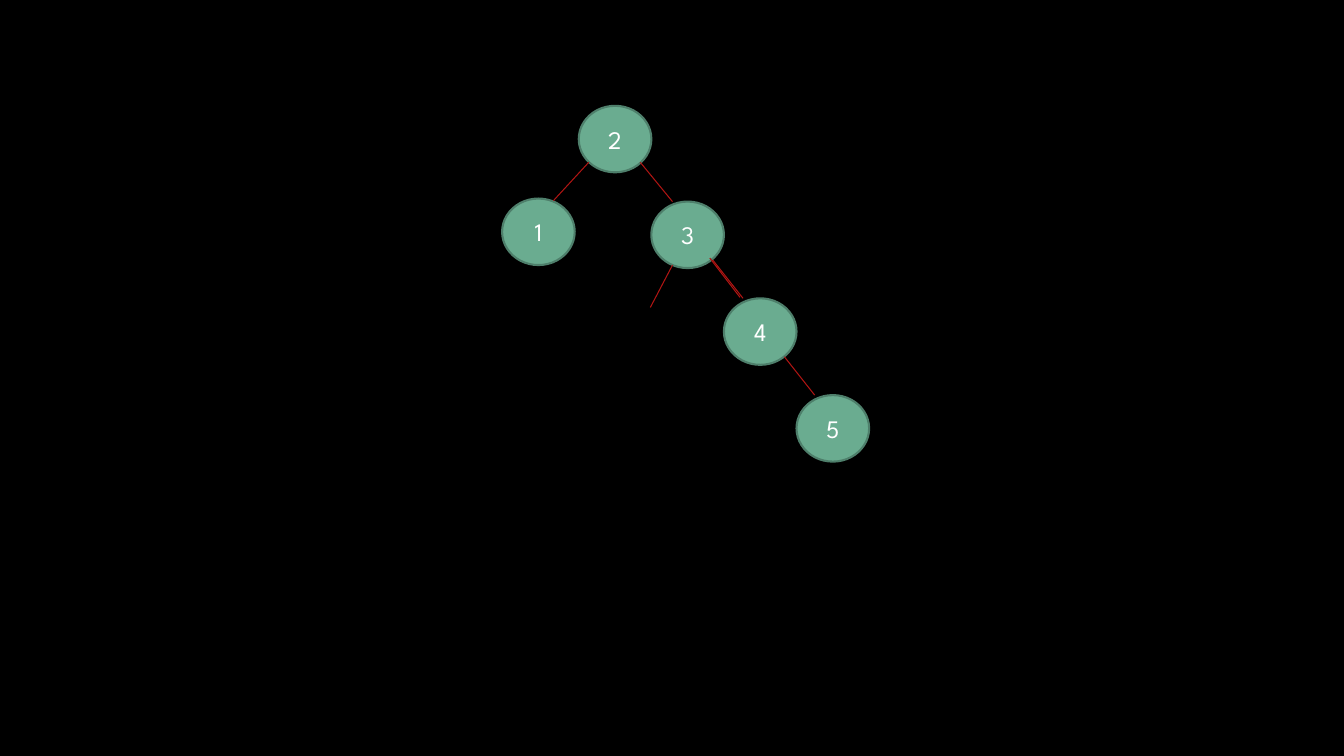
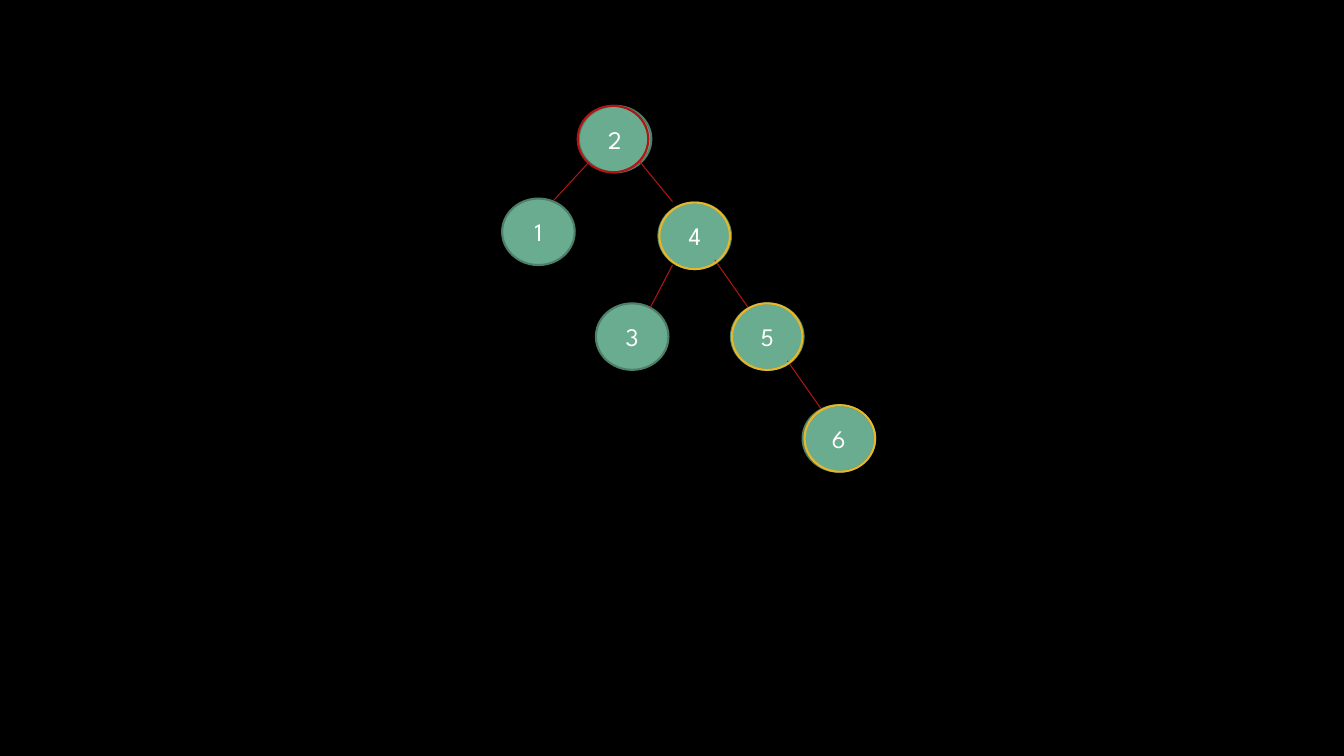
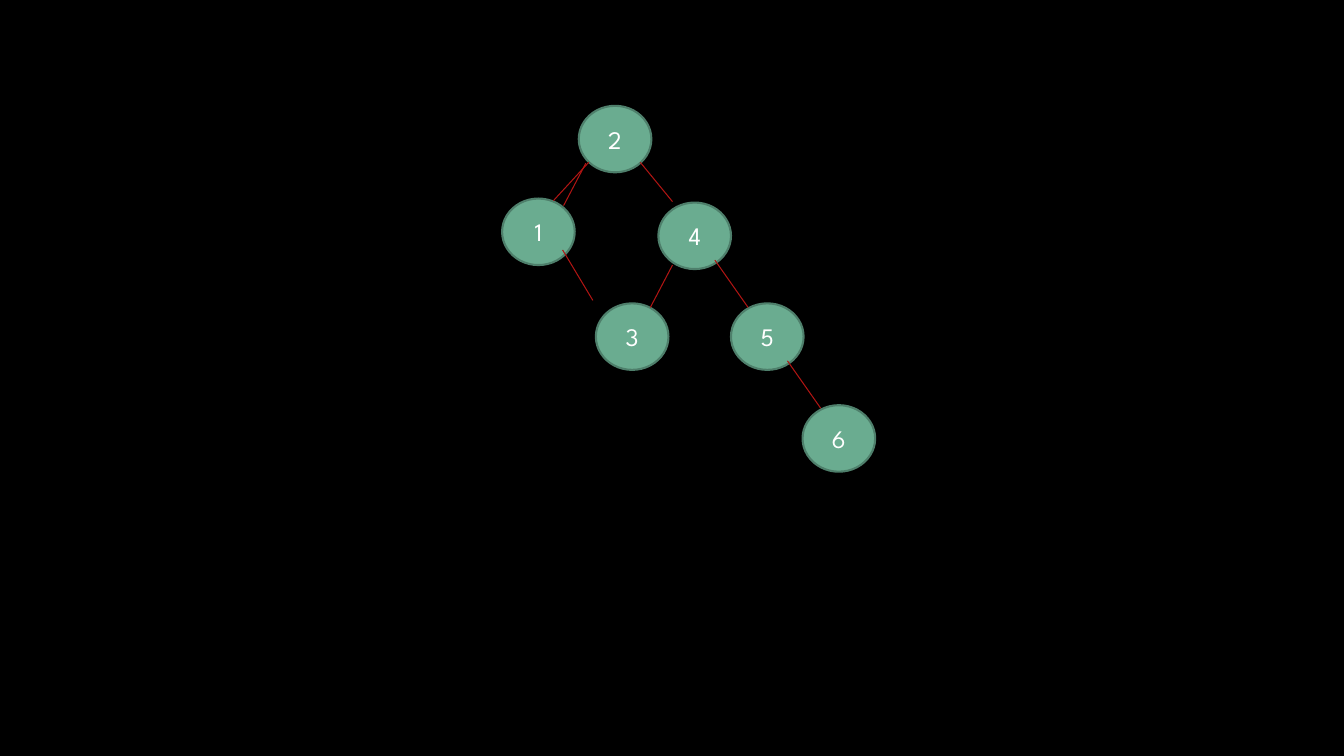
import dataclasses
import typing

import lxml.etree
import pptx
import pptx.dml.color
import pptx.enum.shapes
import pptx.enum.text
import pptx.oxml.ns
import pptx.slide
import pptx.util

BLACK = "000000"
WHITE = "FFFFFF"
GREEN = "6AAC90"
DARK_GREEN = "4E7F6B"
RED = "B01513"
YELLOW = "E6B729"
FONT = "League Spartan"
NODE_WIDTH = 0.72
RING_WIDTH = 0.7
NODE_HEIGHT = 0.66


@dataclasses.dataclass(frozen=True)
class Node:
    label: str
    left: float
    top: float


@dataclasses.dataclass(frozen=True)
class Edge:
    start_x: float
    start_y: float
    end_x: float
    end_y: float


@dataclasses.dataclass(frozen=True)
class Ring:
    left: float
    top: float
    color: str


@dataclasses.dataclass(frozen=True)
class Tree:
    nodes: tuple[Node, ...]
    edges: tuple[Edge, ...]
    rings: tuple[Ring, ...] = ()


ROOT_NODES = (Node("2", 5.74, 1.05), Node("1", 4.98, 1.97))
ROOT_EDGES = (
    Edge(5.84, 1.61, 5.49, 1.99),
    Edge(6.67, 2.0, 6.35, 1.61),
    Edge(6.45, 3.05, 6.67, 2.63),
)
CHAIN_NODES = tuple(Node(str(3 + step), 6.46 + 0.72 * step, 2.0 + 0.96 * step) for step in range(3))
CHAIN_EDGES = (
    Edge(7.37, 2.96, 7.07, 2.58),
    Edge(8.08, 3.92, 7.78, 3.54),
    Edge(7.34, 2.95, 7.04, 2.56),
)
GROWN_NODES = ROOT_NODES + (
    Node("3", 5.91, 3.01),
    Node("4", 6.53, 2.01),
    Node("5", 7.25, 3.01),
    Node("6", 7.96, 4.02),
)
GROWN_EDGES = ROOT_EDGES + (Edge(7.42, 3.05, 7.09, 2.58), Edge(8.14, 4.05, 7.81, 3.58))
HIGHLIGHTS = (
    Ring(7.98, 4.02, YELLOW),
    Ring(7.26, 3.01, YELLOW),
    Ring(6.54, 2.01, YELLOW),
    Ring(5.73, 1.05, RED),
)
ROTATION_EDGES = (Edge(5.88, 2.98, 5.58, 2.48), Edge(5.59, 2.04, 5.81, 1.62))

TREES = (
    Tree(ROOT_NODES + CHAIN_NODES, ROOT_EDGES + CHAIN_EDGES),
    Tree(GROWN_NODES, GROWN_EDGES, HIGHLIGHTS),
    Tree(GROWN_NODES, GROWN_EDGES + ROTATION_EDGES),
)


def rgb(color: str) -> pptx.dml.color.RGBColor:
    return pptx.dml.color.RGBColor.from_string(color)


def add_ellipse(
    page: pptx.slide.Slide, left: float, top: float, width: float, line: str, fill: typing.Optional[str] = None
) -> typing.Any:
    ellipse = page.shapes.add_shape(
        pptx.enum.shapes.MSO_SHAPE.OVAL,
        pptx.util.Inches(left),
        pptx.util.Inches(top),
        pptx.util.Inches(width),
        pptx.util.Inches(NODE_HEIGHT),
    )
    ellipse.shadow.inherit = False
    if fill is None:
        ellipse.fill.background()
    else:
        ellipse.fill.solid()
        ellipse.fill.fore_color.rgb = rgb(fill)
    ellipse.line.color.rgb = rgb(line)
    ellipse.line.width = pptx.util.Pt(1.5)
    return ellipse


def add_node(page: pptx.slide.Slide, node: Node) -> None:
    frame = add_ellipse(page, node.left, node.top, NODE_WIDTH, DARK_GREEN, GREEN).text_frame
    frame.vertical_anchor = pptx.enum.text.MSO_ANCHOR.MIDDLE
    paragraph = frame.paragraphs[0]
    paragraph.text = node.label
    paragraph.alignment = pptx.enum.text.PP_ALIGN.CENTER
    paragraph.font.name = FONT
    paragraph.font.size = pptx.util.Pt(18)
    paragraph.font.color.rgb = rgb(WHITE)


def add_edge(page: pptx.slide.Slide, edge: Edge) -> None:
    connector = page.shapes.add_connector(
        pptx.enum.shapes.MSO_CONNECTOR.STRAIGHT,
        pptx.util.Inches(edge.start_x),
        pptx.util.Inches(edge.start_y),
        pptx.util.Inches(edge.end_x),
        pptx.util.Inches(edge.end_y),
    )
    connector.line.color.rgb = rgb(RED)
    connector.line.width = pptx.util.Pt(0.75)
    lxml.etree.SubElement(connector.element.spPr, pptx.oxml.ns.qn("a:effectLst"))


def add_tree(page: pptx.slide.Slide, tree: Tree) -> None:
    for node in tree.nodes:
        add_node(page, node)
    for edge in tree.edges:
        add_edge(page, edge)
    for ring in tree.rings:
        add_ellipse(page, ring.left, ring.top, RING_WIDTH, ring.color)


def main() -> None:
    deck = pptx.Presentation()
    deck.slide_width = pptx.util.Inches(13.33)
    deck.slide_height = pptx.util.Inches(7.5)
    background = deck.slide_master.background.fill
    background.solid()
    background.fore_color.rgb = rgb(BLACK)
    for tree in TREES:
        add_tree(deck.slides.add_slide(deck.slide_layouts[6]), tree)
    deck.save("out.pptx")


if __name__ == "__main__":
    main()
